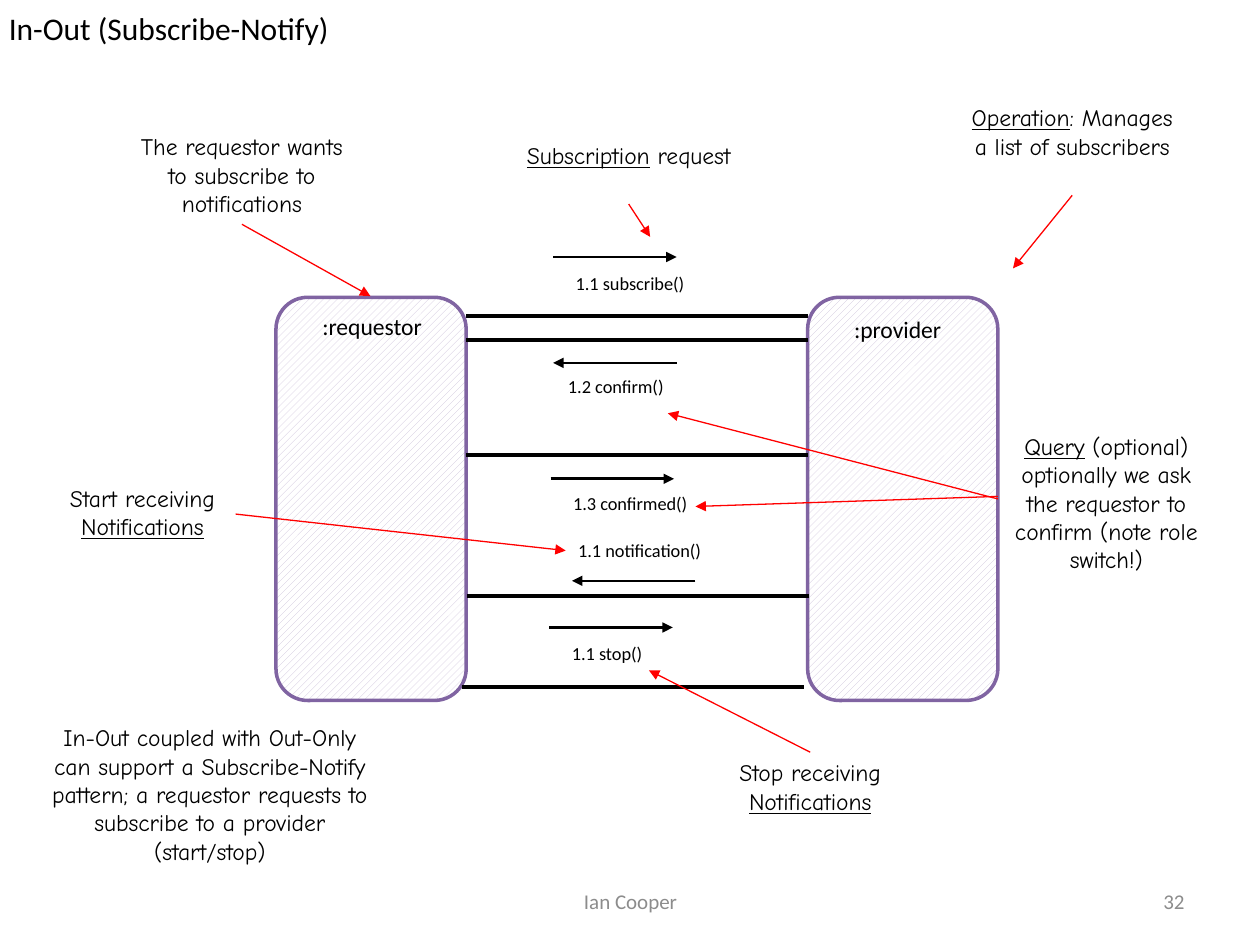
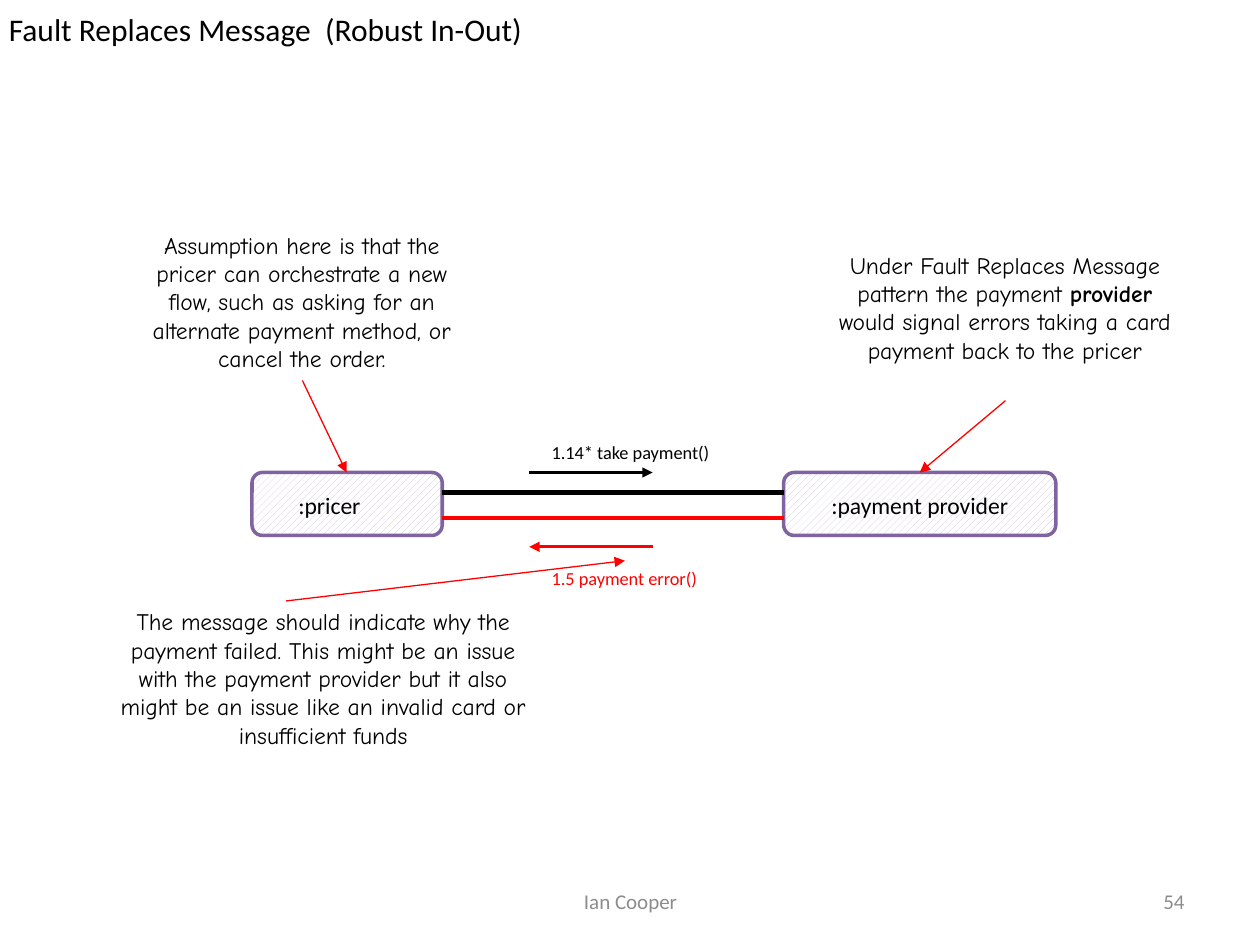
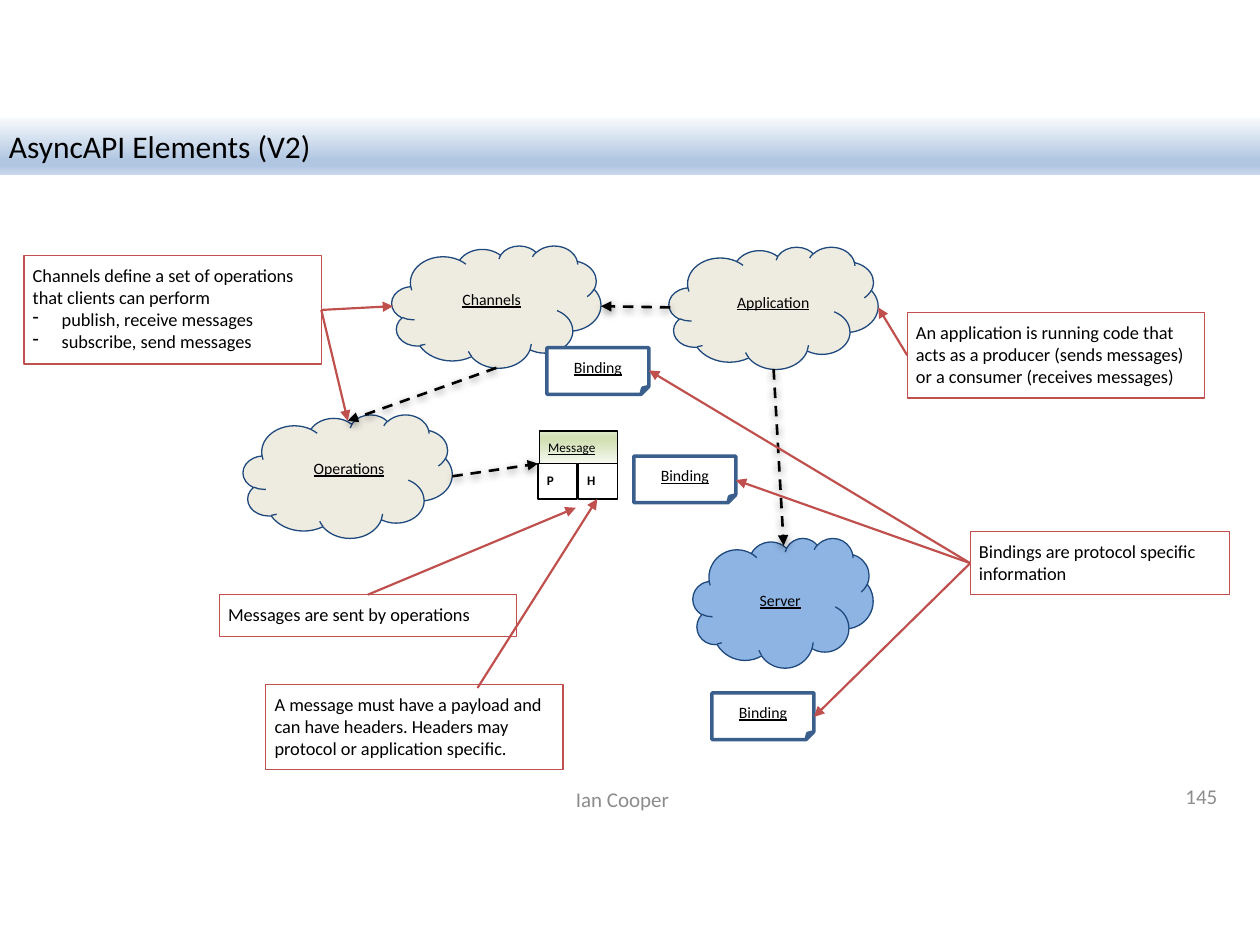
from lxml.etree import SubElement
from pptx import Presentation
from pptx.dml.color import RGBColor
from pptx.enum.dml import MSO_LINE as Dash, MSO_PATTERN as Pattern
from pptx.enum.shapes import MSO_CONNECTOR as Connector, MSO_SHAPE as Shape
from pptx.enum.text import MSO_ANCHOR as Anchor, MSO_AUTO_SIZE as AutoSize, PP_ALIGN as Align
from pptx.oxml.ns import qn
from pptx.util import Inches, Pt

# Shared look
COLORS = {
    "ink": "000000", "paper": "FFFFFF", "footer": "8C8C8C", "alert": "FF0000",
    "role": "8064A2", "hatch": "CCC1DA", "callout": "C0504D", "binding": "3A5F8C",
    "outline": "1F497D", "cloud": "EEECE1", "server": "8EB4E3",
}
TITLE_BAND = [(0, "F6F9FC"), (74, "B0C6E1"), (83, "B0C6E1"), (100, "CAD9EB")]
MESSAGE_BAND = [(0, "FAFCF7"), (74, "D2E0B4"), (83, "D2E0B4"), (100, "E1EBCD")]
BODY_FONT, NOTE_FONT = "Calibri", "Comic Neue"
TIGHT, NORMAL = (0.07, 0.07), (0.1, 0.05)

# The grid: ten columns across, square cells
SLIDE_WIDTH, SLIDE_HEIGHT = Inches(10), Inches(7.5)
CELL = SLIDE_WIDTH / 10
ARROW_LENGTH, LINK_LENGTH, LABEL_HEIGHT = 0.98, 2.71, 0.28


def grid(*cells):
    return [round(cell * CELL) for cell in cells]


def rgb(name):
    return RGBColor.from_string(COLORS[name])


# Text
def add_runs(paragraph, runs, size, color="ink", font=BODY_FONT):
    """Each run is (text, marks), where marks may hold b and u."""
    for text, marks in runs:
        run = paragraph.add_run()
        run.text = text
        run.font.name, run.font.size = font, Pt(size)
        run.font.color.rgb = rgb(color)
        run.font.bold = "b" in marks
        run.font.underline = "u" in marks


def write(shape, runs, size, color="ink", font=BODY_FONT, align=Align.LEFT,
          anchor=Anchor.TOP, insets=NORMAL):
    frame = shape.text_frame
    frame.word_wrap, frame.auto_size = True, AutoSize.NONE
    frame.vertical_anchor = anchor
    frame.margin_left = frame.margin_right = Inches(insets[0])
    frame.margin_top = frame.margin_bottom = Inches(insets[1])
    paragraph = frame.paragraphs[0]
    paragraph.alignment = align
    add_runs(paragraph, runs, size, color, font)


def add_text(slide, box, text, size, **style):
    write(slide.shapes.add_textbox(*grid(*box)), [(text, "")], size, **style)


def add_note(slide, box, *runs):
    write(slide.shapes.add_textbox(*grid(*box)), runs, 13.5, font=NOTE_FONT,
          align=Align.CENTER)


def add_bullet(shape, text, size):
    paragraph = shape.text_frame.add_paragraph()
    paragraph.alignment = Align.LEFT
    properties = paragraph._p.get_or_add_pPr()
    properties.set("marL", str(Inches(0.23)))
    properties.set("indent", str(-Inches(0.23)))
    SubElement(properties, qn("a:buChar"), char="-")
    add_runs(paragraph, [(text, "")], size)


# Shapes and lines
def add_shape(slide, kind, box, fill=None, line="ink", width=0.75):
    shape = slide.shapes.add_shape(kind, *grid(*box))
    shape.shadow.inherit = False
    if fill:
        shape.fill.solid()
        shape.fill.fore_color.rgb = rgb(fill)
    else:
        shape.fill.background()
    shape.line.color.rgb = rgb(line)
    shape.line.width = Pt(width)
    return shape


def fill_gradient(shape, stops, angle):
    shape.fill.gradient()
    shape.fill.gradient_angle = angle
    stop_list = shape._element.spPr.find(qn("a:gradFill")).find(qn("a:gsLst"))
    for stop in list(stop_list):
        stop_list.remove(stop)
    for position, color in stops:
        stop = SubElement(stop_list, qn("a:gs"), pos=str(position * 1000))
        SubElement(stop, qn("a:srgbClr"), val=color)


def add_line(slide, start, end, color, width, arrow=True, dashed=False):
    line = slide.shapes.add_connector(Connector.STRAIGHT, *grid(*start, *end))
    line.line.color.rgb = rgb(color)
    line.line.width = Pt(width)
    if dashed:
        line.line.dash_style = Dash.DASH
    properties = line._element.spPr
    if arrow:
        SubElement(properties.find(qn("a:ln")), qn("a:tailEnd"), type="triangle")
    effects = SubElement(properties, qn("a:effectLst"))
    if dashed:
        shadow = SubElement(effects, qn("a:outerShdw"), blurRad=str(Pt(4.5)),
                            dist=str(Pt(1.5)), dir="5400000", rotWithShape="0")
        color_node = SubElement(shadow, qn("a:srgbClr"), val=COLORS["ink"])
        SubElement(color_node, qn("a:alpha"), val="50000")


# Slide frame
def add_slide(presentation, title, number, title_top=0,
              footer=(3.42, 6.95, 3.17, 0.4), counter=(7.17, 6.95, 2.33, 0.4)):
    slide = presentation.slides.add_slide(presentation.slide_layouts[5])
    heading = slide.shapes.title
    heading.left, heading.top, heading.width, heading.height = grid(0, title_top, 10, 0.45)
    write(heading, [(title, "")], 18, insets=TIGHT)
    for box, text, align in ((footer, "Ian Cooper", Align.CENTER),
                             (counter, number, Align.RIGHT)):
        add_text(slide, box, text, 12, color="footer", align=align, anchor=Anchor.MIDDLE)
    return slide


# Parts of the conversation diagrams
def add_role(slide, box, name, name_box):
    role = add_shape(slide, Shape.ROUNDED_RECTANGLE, box, line="role", width=2)
    role.fill.patterned()
    role.fill.pattern = Pattern.WIDE_UPWARD_DIAGONAL
    role.fill.fore_color.rgb, role.fill.back_color.rgb = rgb("hatch"), rgb("paper")
    add_text(slide, (*name_box, 0.33), name, 13.5)


def add_link(slide, left, row, color="ink"):
    add_line(slide, (left, row), (left + LINK_LENGTH, row), color, 2.5, arrow=False)


def add_message(slide, name, label, left, row, forward, color="ink"):
    ends = [(left, row), (left + ARROW_LENGTH, row)]
    add_line(slide, *(ends if forward else ends[::-1]), color, 1.5)
    add_text(slide, (*label, LABEL_HEIGHT), name, 10.5, color=color)


def add_pointers(slide, pointers):
    for start, end in pointers:
        add_line(slide, start, end, "alert", 0.75)


# Parts of the element map
def add_cloud(slide, name, box, fill, label):
    add_shape(slide, Shape.CLOUD, box, fill, "outline")
    caption = slide.shapes.add_textbox(*grid(*label, 0.3))
    write(caption, [(name, "u")], 9, insets=TIGHT)


def add_callout(slide, box, text, *bullets):
    callout = add_shape(slide, Shape.RECTANGLE, box, line="callout")
    write(callout, [(text, "")], 10.5, insets=TIGHT)
    for bullet in bullets:
        add_bullet(callout, bullet, 10.5)


def add_binding(slide, left, top):
    binding = add_shape(slide, Shape.FOLDED_CORNER, (left, top, 0.81, 0.37),
                        "paper", "binding", 2)
    write(binding, [("Binding", "u")], 9, align=Align.CENTER, anchor=Anchor.MIDDLE)


def add_message_parts(slide):
    header = add_shape(slide, Shape.RECTANGLE, (4.28, 3.42, 0.62, 0.28))
    fill_gradient(header, MESSAGE_BAND, 90)
    write(header, [("Message", "u")], 7.5, insets=TIGHT)
    for index, letter in enumerate("PH"):
        part = add_shape(slide, Shape.RECTANGLE,
                         (4.27 + index * 0.32, 3.68, 0.31, 0.28), "paper")
        write(part, [(letter, "b")], 7.5, insets=TIGHT)


# Slides
def build_subscribe_notify(presentation):
    slide = add_slide(presentation, "In-Out (Subscribe-Notify)", "32")
    add_role(slide, (2.19, 2.36, 1.51, 3.2), ":requestor", (2.46, 2.43, 1.08))
    add_role(slide, (6.41, 2.36, 1.51, 3.2), ":provider", (6.68, 2.45, 0.96))
    for left, row in ((3.7, 2.51), (3.7, 2.7), (3.7, 3.61), (3.71, 4.73), (3.67, 5.45)):
        add_link(slide, left, row)
    for message in (
        ("1.1 subscribe()", (4.47, 2.11, 1.44), 4.39, 2.04, True),
        ("1.2 confirm()", (4.41, 2.93, 1.3), 4.39, 2.88, False),
        ("1.3 confirmed()", (4.45, 3.86, 1.44), 4.37, 3.8, True),
        ("1.1 notification()", (4.49, 4.23, 1.28), 4.54, 4.61, False),
        ("1.1 stop()", (4.44, 5.05, 1.44), 4.36, 4.98, True),
    ):
        add_message(slide, *message)
    add_note(slide, (0.29, 5.69, 2.75, 1.46),
             ("In-Out coupled with Out-Only can support a Subscribe-Notify pattern; "
              "a requestor requests to subscribe to a provider (start/stop)", ""))
    add_note(slide, (1.01, 1, 1.82, 0.78),
             ("The requestor wants to subscribe to notifications", ""))
    add_note(slide, (4.08, 1.07, 1.82, 0.56), ("Subscription", "u"), (" request", ""))
    add_note(slide, (7.6, 0.77, 1.82, 0.78),
             ("Operation", "u"), (": Manages a list of subscribers", ""))
    add_note(slide, (7.92, 3.38, 1.72, 1.24), ("Query", "u"),
             (" (optional) optionally we ask the requestor to confirm "
              "(note role switch!)", ""))
    for verb, left, top in (("Start", 0.22, 3.79), ("Stop", 5.52, 5.97)):
        add_note(slide, (left, top, 1.82, 0.56),
                 (f"{verb} receiving ", ""), ("Notifications", "u"))
    add_pointers(slide, [
        ((1.92, 1.78), (2.94, 2.35)), ((4.99, 1.62), (5.16, 1.88)),
        ((8.51, 1.55), (8.04, 2.13)), ((7.92, 3.96), (5.3, 3.28)),
        ((7.92, 3.94), (5.52, 4.02)), ((1.87, 4.08), (4.49, 4.37)),
        ((6.43, 5.97), (5.15, 5.32)),
    ])


def build_fault_replaces_message(presentation):
    slide = add_slide(presentation, "Fault Replaces Message  (Robust In-Out)", "54", 0.01)
    add_role(slide, (2, 3.75, 1.51, 0.5), ":pricer", (2.27, 3.85, 0.96))
    add_role(slide, (6.22, 3.75, 2.16, 0.5), ":payment provider", (6.5, 3.85, 1.67))
    add_link(slide, 3.51, 3.91)
    add_link(slide, 3.51, 4.11, "alert")
    add_message(slide, "1.14* take payment()", (4.28, 3.45, 1.6), 4.2, 3.75, True)
    add_message(slide, "1.5 payment error()", (4.28, 4.45, 1.37), 4.2, 4.34, False, "alert")
    add_note(slide, (6.55, 1.94, 2.85, 1.24),
             ("Under Fault Replaces Message pattern the payment ", ""), ("provider", "b"),
             (" would signal errors taking a card payment back to the pricer", ""))
    add_note(slide, (0.97, 1.78, 2.85, 1.24),
             ("Assumption here is that the pricer can orchestrate a new flow, such as "
              "asking for an alternate payment method, or cancel the order.", ""))
    add_note(slide, (0.85, 4.77, 3.43, 1.24),
             ("The message should indicate why the payment failed. This might be an issue "
              "with the payment provider but it also might be an issue like an invalid "
              "card or insufficient funds", ""))
    add_pointers(slide, [((7.98, 3.18), (7.3, 3.75)), ((2.4, 3.02), (2.75, 3.75)),
                         ((2.27, 4.77), (4.96, 4.45))])


def build_asyncapi_elements(presentation):
    slide = add_slide(presentation, "AsyncAPI Elements (V2)", "145", 0.94,
                      (3.25, 6.19, 3.38, 0.3), (7.51, 6.17, 2.25, 0.3))
    fill_gradient(slide.shapes.title, TITLE_BAND, 270)
    for cloud in (
        ("Application", (5.31, 1.96, 1.66, 0.97), "cloud", (5.78, 2.25, 0.79)),
        ("Server", (5.5, 4.27, 1.43, 1.03), "server", (5.96, 4.62, 0.5)),
        ("Channels", (3.11, 1.95, 1.66, 0.97), "cloud", (3.6, 2.23, 0.69)),
        ("Operations", (1.93, 3.29, 1.66, 0.98), "cloud", (2.42, 3.57, 0.73)),
    ):
        add_cloud(slide, *cloud)
    add_message_parts(slide)
    for left, top in ((5.65, 5.5), (5.03, 3.62), (4.34, 2.76)):
        add_binding(slide, left, top)

    # Explanations
    add_callout(slide, (7.2, 2.48, 2.36, 0.68),
                "An application is running code that acts as a producer (sends messages) "
                "or a consumer (receives messages)")
    add_callout(slide, (2.11, 5.43, 2.36, 0.68),
                "A message must have a payload and can have headers. "
                "Headers may protocol or application specific.")
    add_callout(slide, (1.74, 4.72, 2.36, 0.33), "Messages are sent by operations")
    add_callout(slide, (7.7, 4.22, 2.06, 0.5), "Bindings are protocol specific information")
    add_callout(slide, (0.19, 2.03, 2.36, 0.86),
                "Channels define a set of operations that clients can perform",
                "publish, receive messages", "subscribe, send messages")

    # Relations between elements, then pointers from the explanations
    for start, end in (((6.14, 2.93), (6.22, 4.33)), ((5.32, 2.44), (4.77, 2.43)),
                       ((3.94, 2.92), (2.76, 3.34)), ((3.59, 3.78), (4.27, 3.68))):
        add_line(slide, start, end, "ink", 1.5, dashed=True)
    for start, targets in (
        ((7.7, 4.47), [(6.46, 5.69), (5.84, 3.81), (5.15, 2.94)]),
        ((2.55, 2.46), [(3.12, 2.43), (2.76, 3.34)]),
        ((7.2, 2.82), [(6.97, 2.44)]),
        ((3.79, 5.46), [(4.74, 3.96)]),
        ((2.92, 4.72), [(4.57, 4.03)]),
    ):
        for target in targets:
            add_line(slide, start, target, "callout", 1.25)


def main():
    presentation = Presentation()
    presentation.slide_width, presentation.slide_height = SLIDE_WIDTH, SLIDE_HEIGHT
    build_subscribe_notify(presentation)
    build_fault_replaces_message(presentation)
    build_asyncapi_elements(presentation)
    presentation.save("out.pptx")


if __name__ == "__main__":
    main()
